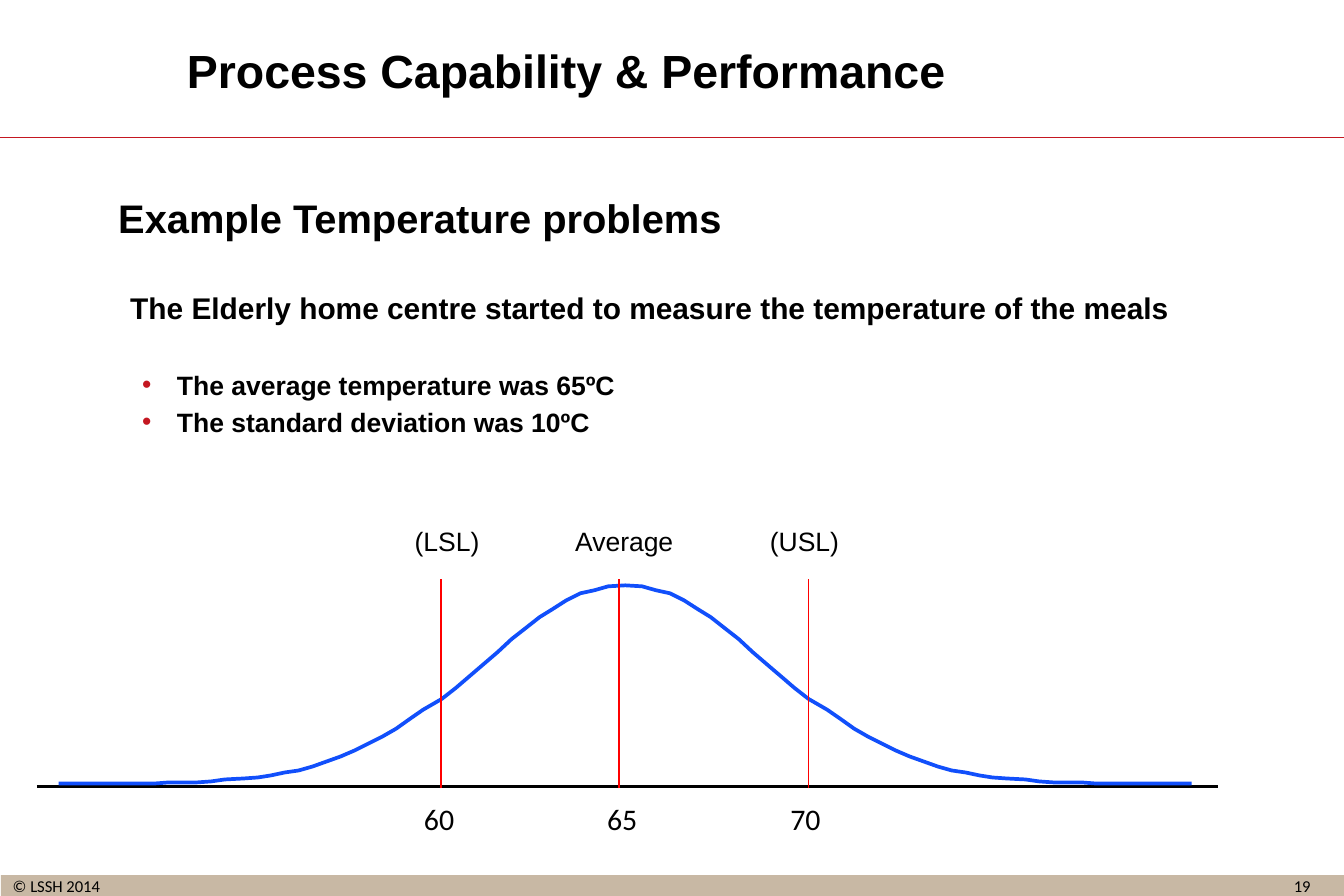
from dataclasses import dataclass

from pptx import Presentation
from pptx import util as u
from pptx.dml.color import RGBColor
from pptx.enum import shapes, text
from pptx.oxml import parse_xml
from pptx.oxml.ns import nsdecls

PX = 7620
RISE = [0] * 8 + [1, 1, 1, 2, 4, 5, 6, 8, 11, 13, 17, 22, 27, 33, 40, 47, 55,
                  65, 74, 85, 96, 108, 120, 132, 145, 156, 167, 175, 184, 191,
                  194, 198]
PEAK = 199


@dataclass(frozen=True)
class Theme:
    """Colours, fonts and type sizes of the slide."""
    ink: str = "000000"
    tan: str = "C8B8A4"
    wine: str = "C41721"
    red: str = "FF0000"
    blue: str = "114FFB"
    main: str = "Arial"
    alt: str = "Calibri"
    title: int = 28
    head: int = 24
    lead: int = 18
    item: int = 16
    note: int = 10


T = Theme()


def rgb(code):
    """Turn a hex code into a colour."""
    return RGBColor.from_string(code)


def px(n):
    """Turn pixels into EMU."""
    return u.Emu(round(n * PX))


def frame(slide, left, top, wide, high, wrap=True, anchor="TOP", pad=6):
    """Add an empty text box and return its text frame."""
    tf = slide.shapes.add_textbox(px(left), px(top), px(wide), px(high)).text_frame
    tf.word_wrap = wrap
    tf.vertical_anchor = text.MSO_ANCHOR[anchor]
    tf.margin_left = tf.margin_right = px(12)
    tf.margin_top = tf.margin_bottom = px(pad)
    return tf


def write(tf, words, size=T.item, font=T.main, bold=False, align="LEFT",
          gap=0, inset=0, hang=0, dot=False):
    """Write one paragraph into a text frame."""
    para = tf.paragraphs[0] if not tf.text else tf.add_paragraph()
    ppr = para._p.get_or_add_pPr()
    ppr.set("marL", str(px(inset)))
    ppr.set("indent", str(px(hang)))
    para.alignment = text.PP_ALIGN[align]
    para.space_before = u.Pt(gap)
    if dot:
        ns = nsdecls("a")
        ppr.append(parse_xml(f'<a:buClr {ns}><a:srgbClr val="{T.wine}"/></a:buClr>'))
        ppr.append(parse_xml(f'<a:buFont {ns} typeface="{T.main}"/>'))
        ppr.append(parse_xml(f'<a:buChar {ns} char="•"/>'))
    run = para.add_run()
    run.text = words
    run.font.size = u.Pt(size)
    run.font.name = font
    run.font.bold = bold
    run.font.color.rgb = rgb(T.ink)


def rule(slide, x1, y1, x2, y2, color, width=1):
    """Draw a straight line."""
    line = slide.shapes.add_connector(shapes.MSO_CONNECTOR.STRAIGHT,
                                      px(x1), px(y1), px(x2), px(y2))
    line.line.color.rgb = rgb(color)
    line.line.width = u.Pt(width)
    line._element.spPr.append(parse_xml(f'<a:effectLst {nsdecls("a")}/>'))


def band(slide, left, top, wide, high, color):
    """Draw a plain filled rectangle."""
    box = slide.shapes.add_shape(shapes.MSO_SHAPE.RECTANGLE,
                                 px(left), px(top), px(wide), px(high))
    box.shadow.inherit = False
    box.fill.solid()
    box.fill.fore_color.rgb = rgb(color)
    box.line.fill.background()


def bell(slide, left, base, mid):
    """Draw the bell curve, its right half mirrored about the middle."""
    half = [(left + round(13.9 * i) + 5 * ((i + 1) // 14), base - h)
            for i, h in enumerate(RISE)]
    back = [(2 * mid - x, y) for x, y in reversed(half)]
    pen = slide.shapes.build_freeform(*half[0], scale=PX)
    pen.add_line_segments(half[1:] + [(mid, base - PEAK)] + back, close=False)
    curve = pen.convert_to_shape()
    curve.shadow.inherit = False
    curve.fill.background()
    curve.line.color.rgb = rgb(T.blue)
    curve.line.width = u.Pt(2.25)


def mark(slide, x, name, mid, value, spot):
    """Add a limit line with its name above and value below."""
    rule(slide, x, 792, x, 582, T.red)
    label = frame(slide, mid - 80, 489, 160, 76, anchor="BOTTOM")
    write(label, name, align="CENTER")
    figure = frame(slide, spot - 40, 798, 80, 48)
    write(figure, value, size=T.lead, font=T.alt, align="CENTER")


def main():
    """Build the slide and save it."""
    deck = Presentation()
    deck.slide_width, deck.slide_height = px(1350), px(900)
    slide = deck.slides.add_slide(deck.slide_layouts[6])

    band(slide, 1, 879, 1350, 24, T.tan)
    page = frame(slide, 1265, 880, 86, 25, pad=0)
    write(page, "19", size=T.note, font=T.alt, align="CENTER")
    foot = frame(slide, 1, 876, 191, 24, wrap=False, anchor="BOTTOM", pad=0)
    write(foot, "© LSSH 2014", size=T.note, font=T.alt)
    rule(slide, 0, 138, 1350, 138, T.wine)

    title = frame(slide, 90, 31, 957, 79, anchor="MIDDLE")
    write(title, "Process Capability & Performance", size=T.title,
          bold=True, align="CENTER")
    body = frame(slide, 107, 189, 1169, 661)
    write(body, "Example Temperature problems", size=T.head, bold=True)
    write(body, "The Elderly home centre started to measure the temperature "
          "of the meals", size=T.lead, bold=True, gap=29, inset=12)
    for words, gap in (("The average temperature was 65ºC", 26),
                       ("The standard deviation was 10ºC", 3)):
        write(body, words, bold=True, gap=gap, inset=59, hang=-35, dot=True)

    rule(slide, 37, 790, 1223, 790, T.ink, 1.5)
    bell(slide, 59, 787, 628)
    for limit in ((443, "(LSL)", 449, "60", 441),
                  (622, "Average", 627, "65", 625),
                  (812, "(USL)", 808, "70", 809)):
        mark(slide, *limit)
    deck.save("out.pptx")


if __name__ == "__main__":
    main()
